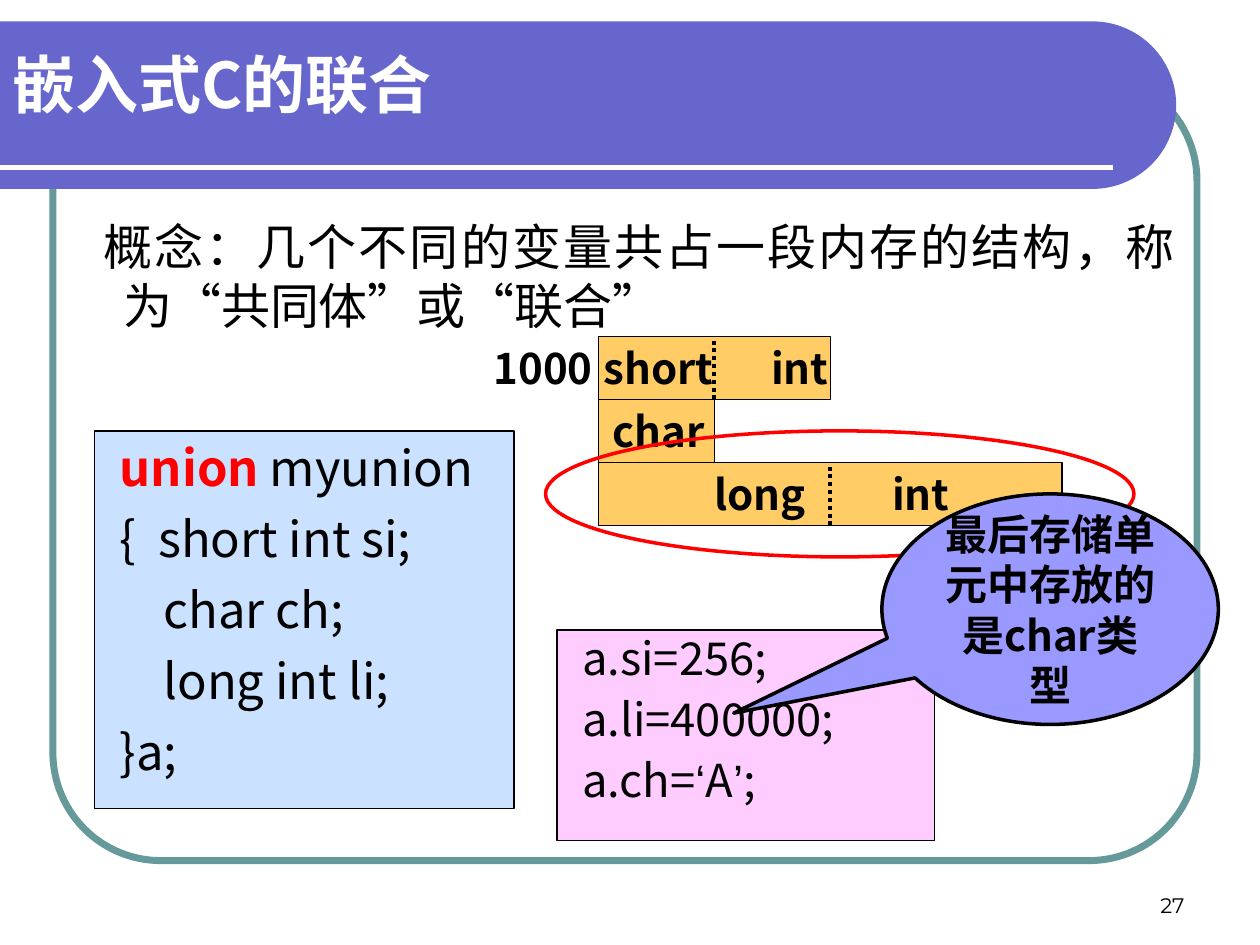
"""Build the slide on unions in embedded C."""
import math
from dataclasses import dataclass, field
from typing import Optional

import pptx
import pptx.dml.color
import pptx.enum.dml
import pptx.enum.shapes
import pptx.enum.text
import pptx.oxml
import pptx.oxml.ns
import pptx.util

Inches = pptx.util.Inches
Pt = pptx.util.Pt
Shape = pptx.enum.shapes.MSO_SHAPE
Align = pptx.enum.text.PP_ALIGN
Anchor = pptx.enum.text.MSO_ANCHOR
SC, JP = "Noto Sans CJK SC", "Noto Sans CJK JP"
BLACK, WHITE, RED, ORANGE = "000000", "FFFFFF", "FF0000", "FFCC66"
CODE_MARGINS = (0.2, 0.05, 0, 0.05)


@dataclass
class Style:
    size: float
    font: str
    color: str = BLACK
    bold: bool = False


@dataclass
class Text:
    lines: list
    style: Style
    align: Align = Align.LEFT
    anchor: Anchor = Anchor.TOP
    margins: tuple = (0.1, 0.05, 0.1, 0.05)
    gap: float = 0
    spacing: float = 1.0
    indent: tuple = (0, 0)


@dataclass
class Box:
    at: tuple
    kind: Optional[Shape] = None
    fill: Optional[str] = None
    line: Optional[tuple] = None
    text: Optional[Text] = None
    adjust: list = field(default_factory=list)


@dataclass
class Variable:
    cells: int
    words: list
    offsets: list


def rgb(value: str) -> pptx.dml.color.RGBColor:
    return pptx.dml.color.RGBColor.from_string(value)


def apply(target, values: dict) -> None:
    for name, value in values.items():
        setattr(target, name, value)


def paint(shape, fill: Optional[str], line: Optional[tuple]) -> None:
    shape.shadow.inherit = False
    if fill:
        shape.fill.solid()
        shape.fill.fore_color.rgb = rgb(fill)
    else:
        shape.fill.background()
    if line:
        shape.line.color.rgb = rgb(line[0])
        shape.line.width = Pt(line[1])
    else:
        shape.line.fill.background()


def add_run(paragraph, words: str, style: Style) -> None:
    run = paragraph.add_run()
    run.text = words
    apply(run.font, {"size": Pt(style.size), "name": style.font, "bold": style.bold})
    run.font.color.rgb = rgb(style.color)
    east_asian = pptx.oxml.parse_xml(
        f'<a:ea {pptx.oxml.ns.nsdecls("a")} typeface="{style.font}"/>')
    run.font._element.find(pptx.oxml.ns.qn("a:latin")).addnext(east_asian)


def write(frame, text: Text) -> None:
    sides = ("margin_left", "margin_top", "margin_right", "margin_bottom")
    apply(frame, dict(zip(sides, map(Inches, text.margins))))
    apply(frame, {"word_wrap": True, "vertical_anchor": text.anchor})
    for number, line in enumerate(text.lines):
        paragraph = frame.add_paragraph() if number else frame.paragraphs[0]
        for name, length in zip(("marL", "indent"), text.indent):
            paragraph._p.get_or_add_pPr().set(name, str(Inches(length)))
        apply(paragraph, {"alignment": text.align, "line_spacing": text.spacing,
                          "space_before": Pt(text.gap if number else 0)})
        runs = [(line, text.style)] if isinstance(line, str) else line
        for words, style in runs:
            add_run(paragraph, words, style)


def draw_box(slide, box: Box) -> None:
    place = [Inches(length) for length in box.at]
    if box.kind is None:
        shape = slide.shapes.add_textbox(*place)
    else:
        shape = slide.shapes.add_shape(box.kind, *place)
        paint(shape, box.fill, box.line)
        for index, value in enumerate(box.adjust):
            shape.adjustments[index] = value
    if box.text:
        write(shape.text_frame, box.text)


def draw_line(slide, start: tuple, end: tuple, color: str, width: float,
              dash=None) -> None:
    line = slide.shapes.add_connector(
        pptx.enum.shapes.MSO_CONNECTOR.STRAIGHT, *map(Inches, start + end))
    line.line.color.rgb = rgb(color)
    line.line.width = Pt(width)
    if dash:
        line.line.dash_style = dash
    line._element.spPr.append(pptx.oxml.parse_xml(
        f'<a:effectLst {pptx.oxml.ns.nsdecls("a")}/>'))


def draw_banner(slide) -> None:
    top, bottom, bend = 0.17, 1.5, 8.67
    radius = (bottom - top) / 2
    curve = []
    for step in range(61):
        angle = math.pi * (step / 60 - 0.5)
        curve.append((Inches(bend + radius * math.cos(angle)),
                      Inches(top + radius + radius * math.sin(angle))))
    builder = slide.shapes.build_freeform(0, Inches(top))
    builder.add_line_segments(curve + [(0, Inches(bottom))], close=True)
    paint(builder.convert_to_shape(), "6666CC", None)
    draw_line(slide, (0, 1.33), (8.83, 1.33), WHITE, 3)


def draw_memory(slide) -> None:
    left, top, byte, height = 4.75, 2.67, 0.92, 0.5
    label = Style(24, SC, bold=True)
    variables = [Variable(2, ["short", "int"], [0.04, 1.37]),
                 Variable(1, ["char"], [0.11]),
                 Variable(4, ["long", "int"], [byte, 2.33])]
    for row, variable in enumerate(variables):
        y, width = top + row * height, variable.cells * byte
        first, *others = [Text([word], label, margins=(offset, 0.05, 0, 0.05))
                          for word, offset in zip(variable.words, variable.offsets)]
        draw_box(slide, Box((left, y, width, height), Shape.RECTANGLE, ORANGE,
                            (BLACK, 0.75), first))
        for other in others:
            draw_box(slide, Box((left, y, width + 0.1, height), text=other))
        if variable.cells > 1:
            middle = left + width / 2
            draw_line(slide, (middle, y + height), (middle, y), BLACK, 2.25,
                      pptx.enum.dml.MSO_LINE.ROUND_DOT)
    draw_box(slide, Box((left - byte, top, byte, height), text=Text(
        ["1000"], label, Align.CENTER, margins=(0.04, 0.05, 0, 0.05))))


def main() -> None:
    deck = pptx.Presentation()
    apply(deck, {"slide_width": Inches(10), "slide_height": Inches(7.5)})
    slide = deck.slides.add_slide(deck.slide_layouts[6])

    draw_box(slide, Box((0.42, 0.58, 9.08, 6.25), Shape.ROUNDED_RECTANGLE,
                        line=("669999", 4), adjust=[0.137]))
    draw_banner(slide)
    draw_box(slide, Box((0, 0.25, 8.75, 0.83), text=Text(
        ["嵌入式C的联合"], Style(36, SC, WHITE, True), anchor=Anchor.MIDDLE)))
    draw_box(slide, Box((0.5, 1.67, 8.92, 1), text=Text(
        ["概念：几个不同的变量共占一段内存的结构，称为“共同体”或“联合”"],
        Style(28, SC), Align.JUSTIFY, indent=(0.38, -0.16))))
    draw_memory(slide)

    code = Style(28, JP)
    declaration = [[("union", Style(28, JP, RED, True)), (" myunion", code)],
                   "{  short int si;", "    char ch;", "    long int li;", "}a;"]
    draw_box(slide, Box((0.75, 3.42, 3.33, 3), Shape.RECTANGLE, "CAE2FF", (BLACK, 0.75),
                        Text(declaration, code, margins=CODE_MARGINS, gap=7)))
    draw_box(slide, Box((7.17, 6.83, 2.33, 0.5), text=Text(
        ["27"], Style(12, "Montserrat"), Align.RIGHT, Anchor.BOTTOM)))
    draw_box(slide, Box((4.33, 3.42, 4.67, 1), Shape.OVAL, line=(RED, 2)))

    value, quote = Style(25.9, JP), Style(25.9, "Arial")
    assignments = ["a.si=256;", "a.li=400000;",
                   [("a.ch=", value), ("‘", quote), ("A", value), ("’", quote), (";", value)]]
    draw_box(slide, Box((4.42, 5, 3, 1.67), Shape.RECTANGLE, "FFCCFF", (BLACK, 0.75),
                        Text(assignments, value, margins=CODE_MARGINS, gap=7, spacing=0.9)))
    draw_box(slide, Box((7, 3.92, 2.67, 1.83), Shape.OVAL_CALLOUT, "9999FF", (BLACK, 2),
                        Text(["最后存储单元中存放的是char类型"], Style(24, JP, bold=True),
                             Align.CENTER, Anchor.MIDDLE), [-0.941, 0.451]))
    deck.save("out.pptx")


if __name__ == "__main__":
    main()
